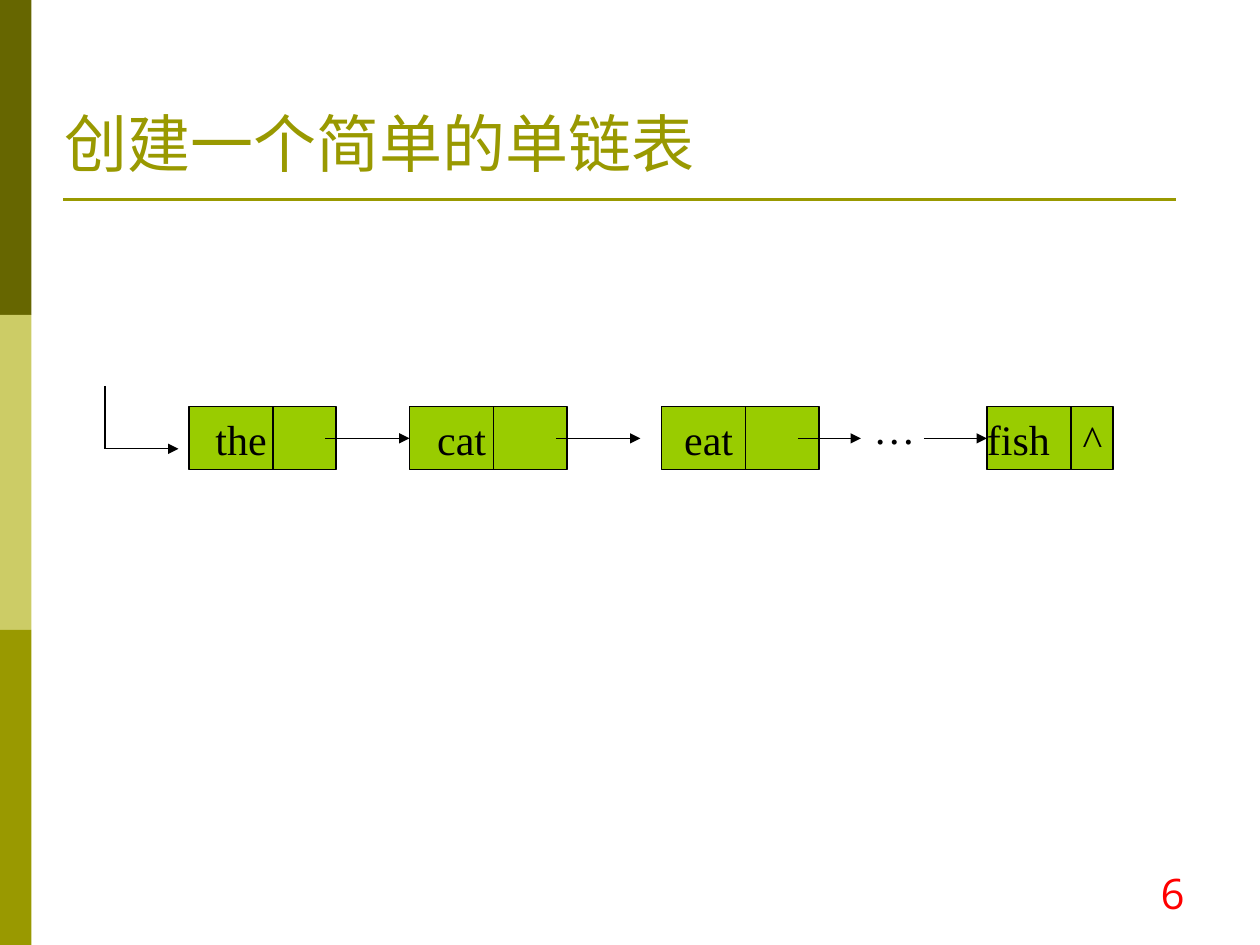
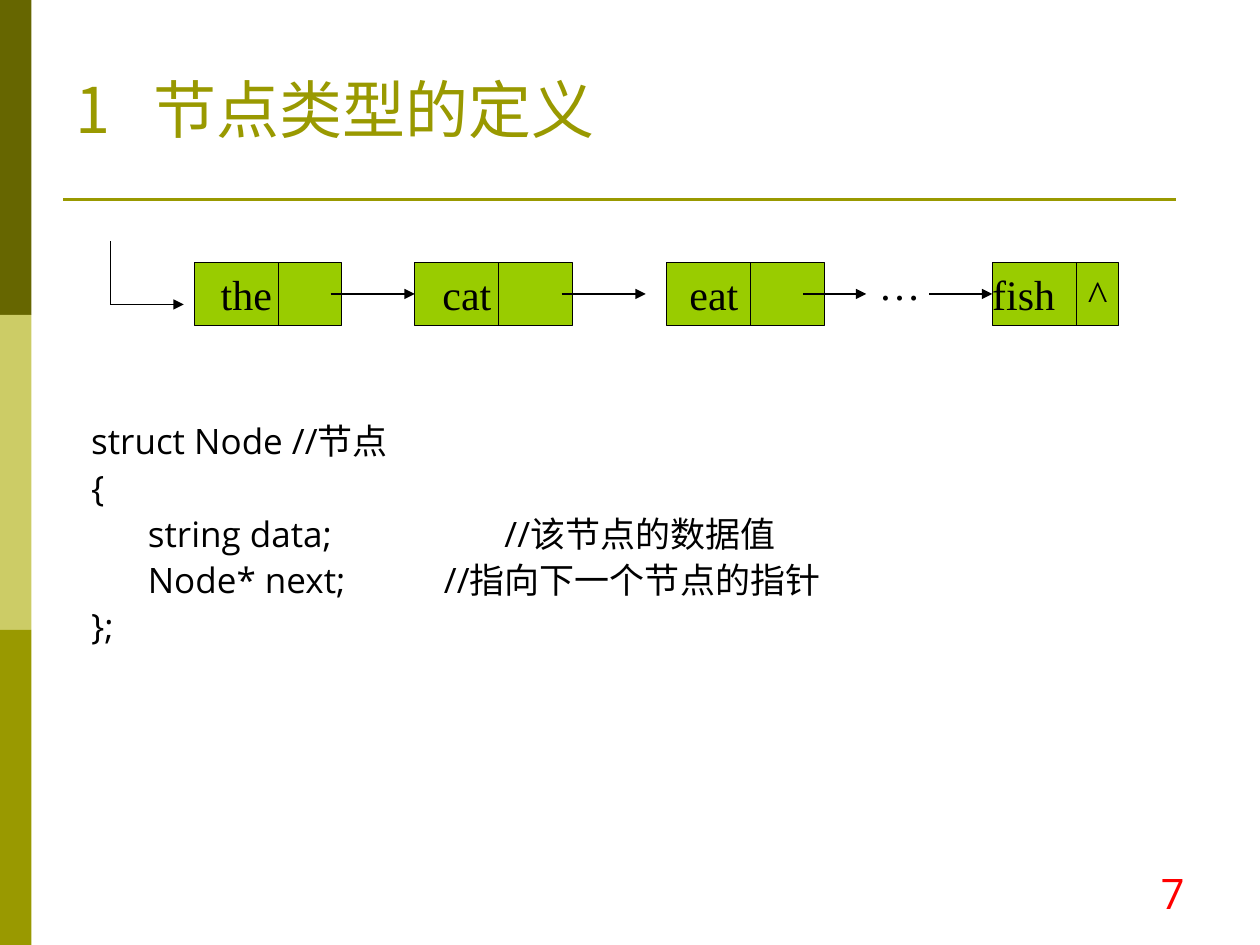
from dataclasses import dataclass
from typing import Any, NamedTuple, Optional

from lxml.etree import SubElement
from pptx import Presentation
from pptx.dml.color import RGBColor
from pptx.enum.shapes import MSO_CONNECTOR, MSO_SHAPE
from pptx.enum.text import MSO_ANCHOR, PP_ALIGN
from pptx.oxml.ns import qn
from pptx.util import Emu, Inches, Pt

# The slide is a grid of 120 columns and 90 rows
SLIDE_WIDTH, SLIDE_HEIGHT = Inches(10), Inches(7.5)
COLUMN, ROW = SLIDE_WIDTH // 120, SLIDE_HEIGHT // 90

DARK_OLIVE = RGBColor(0x66, 0x66, 0x00)
PALE_OLIVE = RGBColor(0xCC, 0xCC, 0x66)
OLIVE = RGBColor(0x99, 0x99, 0x00)
GREEN = RGBColor(0x99, 0xCC, 0x00)
RED = RGBColor(0xFF, 0x00, 0x00)
BLACK = RGBColor(0x00, 0x00, 0x00)

CJK_FONT = "Noto Sans CJK SC"
BAND_COLORS = (DARK_OLIVE, PALE_OLIVE, OLIVE)


class Area(NamedTuple):
    column: float
    row: float
    columns: float
    rows: float

    def lengths(self) -> tuple[Emu, Emu, Emu, Emu]:
        return (Emu(round(self.column * COLUMN)), Emu(round(self.row * ROW)),
                Emu(round(self.columns * COLUMN)), Emu(round(self.rows * ROW)))


class Point(NamedTuple):
    column: float
    row: float


@dataclass(frozen=True)
class TextStyle:
    font: str
    size: int
    color: RGBColor = BLACK
    paragraph: Optional[dict[str, Any]] = None
    frame: Optional[dict[str, Any]] = None


@dataclass(frozen=True)
class Node:
    text: str
    column: float
    columns: float
    inset: float


@dataclass(frozen=True)
class Arrow:
    start: float
    end: float
    target: Optional[int] = None


@dataclass(frozen=True)
class ListSlide:
    number: int
    title: str
    title_area: Area
    list_origin: Point
    code: tuple[tuple[str, tuple[float, ...]], ...] = ()


TITLE_STYLE = TextStyle(CJK_FONT, 36, OLIVE, frame={"vertical_anchor": MSO_ANCHOR.BOTTOM})
NUMBER_STYLE = TextStyle("Open Sans", 24, RED, {"alignment": PP_ALIGN.RIGHT})
CODE_STYLE = TextStyle("Open Sans", 20, paragraph={"line_spacing": 1.1})
LIST_STYLE = TextStyle("Times New Roman", 24, paragraph={"space_before": Pt(5)})

# Columns in the list are counted from the head pointer
NODE_ROWS = 6
DATA_COLUMNS = 8
TITLE_TAB = (0.62,)
NODE_TAB = (0.76,)
NODES = (
    Node("the", 8, 14, 0.21),
    Node("cat", 29, 15, 0.22),
    Node("eat", 53, 15, 0.18),
    Node("fish\t^", 84, 12, 0),
)
ARROWS = (Arrow(21, 29, 1), Arrow(43, 51), Arrow(66, 72), Arrow(78, 84, 3))

SLIDES = (
    ListSlide(6, "创建一个简单的单链表", Area(5, 2.75, 108, 15), Point(10, 38.75)),
    ListSlide(
        7, "1\t节点类型的定义", Area(6, -0.5, 108, 15), Point(10.5, 25),
        (
            ("struct Node //节点", ()),
            ("{", ()),
            ("\tstring data;\t//该节点的数据值", (0.45, 3.28)),
            ("\tNode* next;\t//指向下一个节点的指针", (0.45, 2.8)),
            ("};", ()),
        ),
    ),
)


def set_values(target: Any, values: Optional[dict[str, Any]]) -> None:
    for name, value in (values or {}).items():
        setattr(target, name, value)


def set_tabs(paragraph: Any, stops: tuple[float, ...]) -> None:
    if stops:
        tab_list = SubElement(paragraph._p.get_or_add_pPr(), qn("a:tabLst"))
        for stop in stops:
            SubElement(tab_list, qn("a:tab"), pos=str(Inches(stop)), algn="l")


def write_line(paragraph: Any, text: str, style: TextStyle,
               stops: tuple[float, ...] = ()) -> None:
    set_values(paragraph, style.paragraph)
    set_tabs(paragraph, stops)
    run = paragraph.add_run()
    run.text = text
    set_values(run.font, {"name": style.font, "size": Pt(style.size)})
    run.font.color.rgb = style.color
    SubElement(run.font._element, qn("a:ea"), typeface=CJK_FONT)


def add_text(slide: Any, area: Area, style: TextStyle,
             *lines: tuple[str, tuple[float, ...]]) -> None:
    text_frame = slide.shapes.add_textbox(*area.lengths()).text_frame
    set_values(text_frame, {"word_wrap": True} | (style.frame or {}))
    for index, (text, stops) in enumerate(lines):
        paragraph = text_frame.add_paragraph() if index else text_frame.paragraphs[0]
        write_line(paragraph, text, style, stops)


def add_rectangle(slide: Any, area: Area, color: RGBColor) -> Any:
    shape = slide.shapes.add_shape(MSO_SHAPE.RECTANGLE, *area.lengths())
    shape.shadow.inherit = False
    shape.fill.solid()
    shape.fill.fore_color.rgb = color
    shape.line.fill.background()
    return shape


def add_line(slide: Any, start: Point, end: Point, color: RGBColor = BLACK,
             width: float = 0.75, arrow: bool = False) -> Any:
    ends = [Emu(round(length)) for point in (start, end)
            for length in (point.column * COLUMN, point.row * ROW)]
    connector = slide.shapes.add_connector(MSO_CONNECTOR.STRAIGHT, *ends)
    connector.line.color.rgb = color
    connector.line.width = Pt(width)
    if arrow:
        SubElement(connector.line._get_or_add_ln(), qn("a:tailEnd"), type="triangle")
    SubElement(connector._element.spPr, qn("a:effectLst"))
    return connector


def add_node(slide: Any, node: Node, origin: Point) -> Any:
    area = Area(origin.column + node.column, origin.row, node.columns, NODE_ROWS)
    shape = add_rectangle(slide, area, GREEN)
    shape.line.color.rgb = BLACK
    shape.line.width = Pt(0.75)
    set_values(shape.text_frame, {
        "word_wrap": True, "vertical_anchor": MSO_ANCHOR.MIDDLE,
        "margin_left": Inches(node.inset), "margin_right": 0,
    })
    paragraph = shape.text_frame.paragraphs[0]
    paragraph.alignment = PP_ALIGN.LEFT
    write_line(paragraph, node.text, LIST_STYLE, NODE_TAB if "\t" in node.text else ())
    return shape


def add_linked_list(slide: Any, origin: Point) -> None:
    """Draw the nodes, their arrows and dividers, and the head pointer."""
    def at(column: float, row: float) -> Point:
        return Point(origin.column + column, origin.row + row)

    boxes = [add_node(slide, node, origin) for node in NODES]
    for arrow in ARROWS:
        middle = NODE_ROWS / 2
        connector = add_line(slide, at(arrow.start, middle), at(arrow.end, middle), arrow=True)
        if arrow.target is not None:
            connector.end_connect(boxes[arrow.target], 1)
    for node in NODES:
        divider = node.column + DATA_COLUMNS
        add_line(slide, at(divider, 0), at(divider, NODE_ROWS))
    add_line(slide, at(0, -2), at(0, 4))
    add_line(slide, at(0, 4), at(7, 4), arrow=True)
    add_text(slide, Area(*at(72, -1), 6.4, 6), LIST_STYLE, ("…", ()))


def add_frame(slide: Any, content: ListSlide) -> None:
    """Draw what every slide shares: side bands, rule, number and title."""
    for index, color in enumerate(BAND_COLORS):
        add_rectangle(slide, Area(0, index * 30, 3, 30), color)
    add_line(slide, Point(6, 19), Point(112, 19), OLIVE, 1.5)
    add_text(slide, Area(86, 82, 28, 6), NUMBER_STYLE, (str(content.number), ()))
    title_stops = TITLE_TAB if "\t" in content.title else ()
    add_text(slide, content.title_area, TITLE_STYLE, (content.title, title_stops))


def main() -> None:
    presentation = Presentation()
    set_values(presentation, {"slide_width": SLIDE_WIDTH, "slide_height": SLIDE_HEIGHT})
    for content in SLIDES:
        slide = presentation.slides.add_slide(presentation.slide_layouts[6])
        add_frame(slide, content)
        add_linked_list(slide, content.list_origin)
        if content.code:
            add_text(slide, Area(7.5, 39, 112, 43), CODE_STYLE, *content.code)
    presentation.save("out.pptx")


if __name__ == "__main__":
    main()
